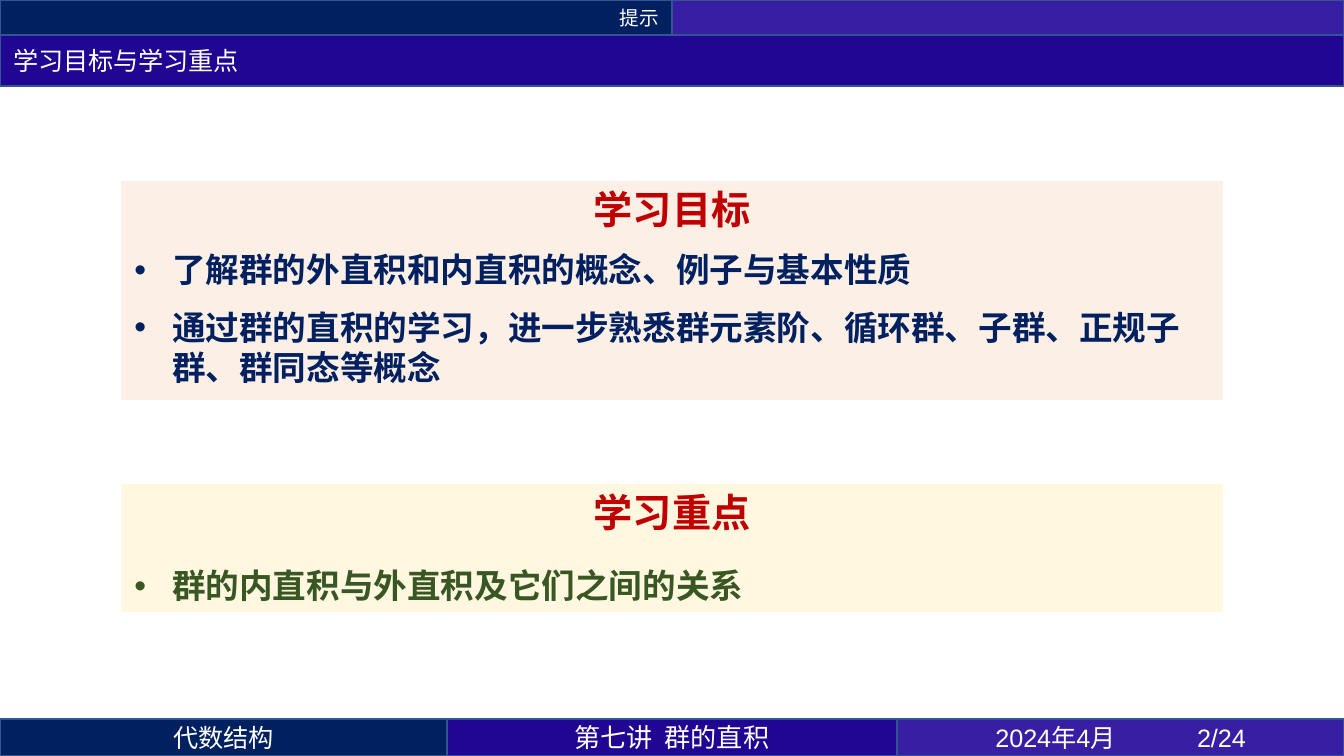
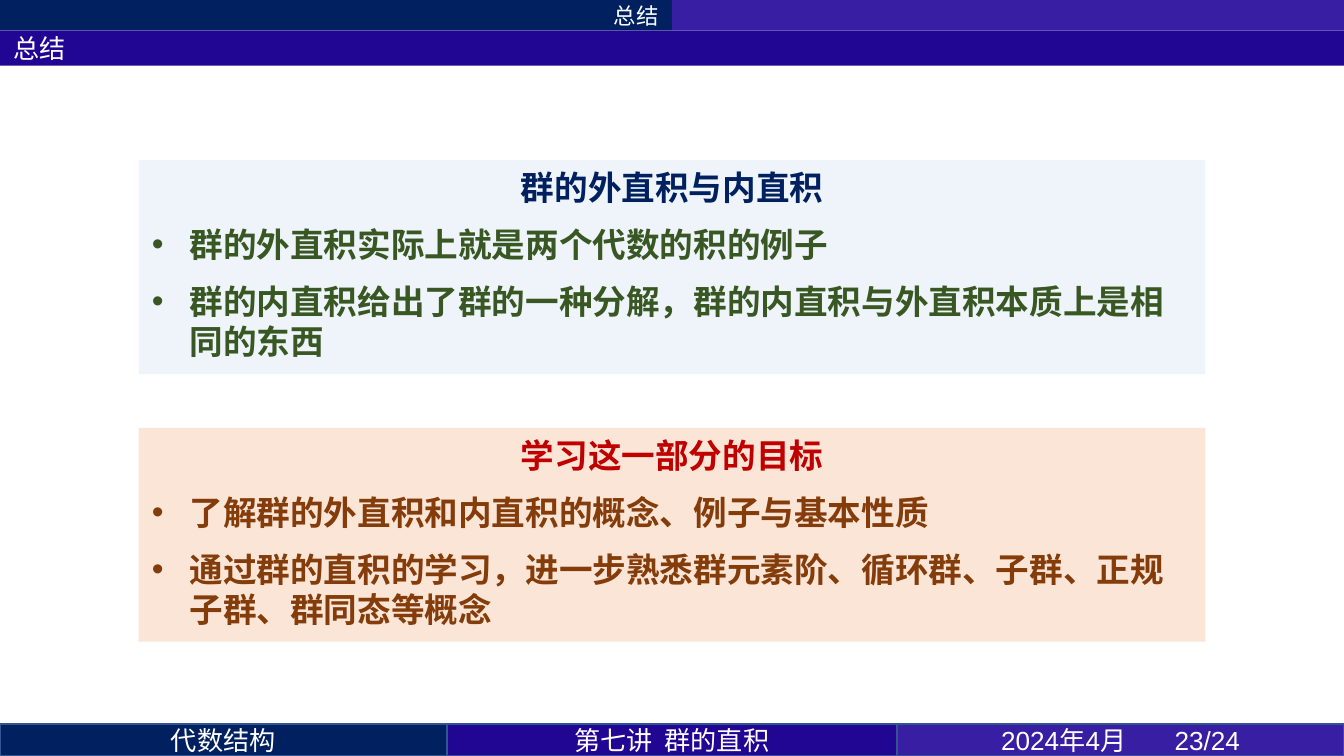
from lxml import etree
from pptx import Presentation
from pptx.dml.color import RGBColor
from pptx.enum import shapes, text
from pptx.oxml import ns
from pptx.util import Pt

W, H = 720, 405
CJK = "Noto Sans CJK SC"
COLORS = {
    "navy": "002060", "indigo": "210694", "violet": "371EA2", "edge": "325491",
    "white": "FFFFFF", "red": "C00000", "green": "385723", "brown": "843C0B",
    "peach": "FBE5D6", "cream": "FFF2CC", "sky": "DEEBF7",
}
LEFT, CENTER, RIGHT = text.PP_ALIGN.LEFT, text.PP_ALIGN.CENTER, text.PP_ALIGN.RIGHT
SIDE_W = 239.3
FOOTER_COLUMNS = [
    (0, SIDE_W, "navy", CJK),
    (SIDE_W, W - 2 * SIDE_W, "indigo", CJK),
    (W - SIDE_W, SIDE_W, "violet", "Arial"),
]
GOALS = [
    "了解群的外直积和内直积的概念、例子与基本性质",
    "通过群的直积的学习，进一步熟悉群元素阶、循环群、子群、正规子群、群同态等概念",
]


def rgb(name):
    return RGBColor.from_string(COLORS[name])


def add_xml(parent, tag, **attrs):
    return etree.SubElement(parent, ns.qn(tag), attrs)


class Deck:
    def __init__(self):
        self.prs = Presentation()
        self.prs.slide_width, self.prs.slide_height = Pt(W), Pt(H)
        self.s = None

    def slide(self):
        self.s = self.prs.slides.add_slide(self.prs.slide_layouts[5])

    def paint(self, sp, fill, edge=None, alpha=None):
        sp.fill.solid()
        sp.fill.fore_color.rgb = rgb(fill)
        if alpha:
            color = sp.fill._xPr.find(".//" + ns.qn("a:srgbClr"))
            add_xml(color, "a:alpha", val=str(alpha * 1000))
        if edge:
            sp.line.color.rgb = rgb(edge)
            sp.line.width = Pt(1)
        else:
            sp.line.fill.background()

    def rect(self, x, y, w, h, fill, edge=None, alpha=None):
        sp = self.s.shapes.add_shape(
            shapes.MSO_SHAPE.RECTANGLE, Pt(x), Pt(y), Pt(w), Pt(h))
        sp.shadow.inherit = False
        self.paint(sp, fill, edge, alpha)
        return sp

    def fill_text(self, p, words, size, font, color, align=LEFT, bold=False, **spacing):
        for name, value in {"alignment": align, **spacing}.items():
            setattr(p, name, value)
        r = p.add_run()
        r.text = words
        for name, value in {"size": Pt(size), "name": font, "bold": bold}.items():
            setattr(r.font, name, value)
        r.font.color.rgb = rgb(color)
        add_xml(r._r.get_or_add_rPr(), "a:ea", typeface=CJK)

    def label(self, sp, words, size, font, align=LEFT, tab=None):
        tf = sp.text_frame
        frame = {"word_wrap": True, "auto_size": text.MSO_AUTO_SIZE.NONE,
                 "vertical_anchor": text.MSO_ANCHOR.MIDDLE,
                 "margin_left": Pt(7.2), "margin_right": Pt(7.2),
                 "margin_top": 0, "margin_bottom": 0}
        for name, value in frame.items():
            setattr(tf, name, value)
        p = tf.paragraphs[0]
        self.fill_text(p, words, size, font, "white", align)
        if tab:
            tabs = add_xml(p._p.get_or_add_pPr(), "a:tabLst")
            add_xml(tabs, "a:tab", pos=str(Pt(tab)), algn="l")

    def header(self, section, size, h, edge=None):
        sp = self.rect(0, 0, W / 2, h, "navy", edge)
        self.label(sp, section, size, CJK, RIGHT)
        self.rect(W / 2, 0, W / 2, h, "violet", edge)

    def title(self, words, size, y, h, edge=None):
        sp = self.s.shapes.title
        place = {"left": 0, "top": Pt(y), "width": Pt(W), "height": Pt(h)}
        for name, value in place.items():
            setattr(sp, name, value)
        self.paint(sp, "indigo", edge)
        self.label(sp, words, size, "Calibri")

    def footer(self, page, sizes, h, tab):
        words = ["代数结构", "第七讲  群的直积", f"2024年4月\t{page}/24"]
        for (x, w, fill, font), line, size in zip(FOOTER_COLUMNS, words, sizes):
            sp = self.rect(x, H - h, w, h, fill, "edge")
            self.label(sp, line, size, font, CENTER, tab if "\t" in line else None)

    def panel(self, y, w, h, fill, heading, bullets, alpha=None,
              size=18, font="Calibri", color="red", bullet_color="green",
              bullet_font=CJK, before=4.5, heading_before=4.5,
              heading_line=None, bullet_line=None):
        sp = self.rect((W - w) / 2, y, w, h, fill, alpha=alpha)
        tf = sp.text_frame
        tf.word_wrap = True
        tf.auto_size = text.MSO_AUTO_SIZE.SHAPE_TO_FIT_TEXT
        tf.vertical_anchor = text.MSO_ANCHOR.TOP
        self.fill_text(tf.paragraphs[0], heading, size, font, color, CENTER, True,
                       space_before=Pt(heading_before), space_after=Pt(4.5),
                       line_spacing=heading_line)
        for words in bullets:
            p = tf.add_paragraph()
            self.fill_text(p, words, 18, bullet_font, bullet_color, bold=True,
                           space_before=Pt(before), space_after=Pt(4.5),
                           line_spacing=bullet_line)
            pPr = p._p.get_or_add_pPr()
            pPr.set("marL", str(Pt(20.25)))
            pPr.set("indent", str(Pt(-20.25)))
            add_xml(pPr, "a:buFont", typeface="Arial")
            add_xml(pPr, "a:buChar", char="•")


def goals_slide(deck):
    deck.slide()
    deck.header("提示", 10.5, 19, "edge")
    deck.title("学习目标与学习重点", 13.5, 19, 27, "edge")
    deck.footer(2, [13.5, 14, 13.5], 19.8, 108)
    style = {"w": 590.2, "alpha": 60, "size": 21, "font": CJK,
             "bullet_font": "Arial", "heading_line": Pt(24)}
    deck.panel(y=97, h=117.2, fill="peach", heading="学习目标", bullets=GOALS,
               bullet_color="navy", **style)
    deck.panel(y=259.4, h=68.4, fill="cream", heading="学习重点",
               bullets=["群的内直积与外直积及它们之间的关系"],
               before=9, heading_before=9, bullet_line=Pt(24), **style)


def summary_slide(deck):
    deck.slide()
    deck.header("总结", 12, 16.2)
    deck.title("总结", 14, 16.2, 18.9)
    deck.footer(23, [14, 14, 14], 16.9, 93)
    style = {"w": 571.6, "h": 114.6}
    deck.panel(y=85.8, fill="sky", alpha=50, heading="群的外直积与内直积",
               color="navy", bullets=[
                   "群的外直积实际上就是两个代数的积的例子",
                   "群的内直积给出了群的一种分解，群的内直积与外直积本质上是相同的东西",
               ], **style)
    deck.panel(y=229.2, fill="peach", heading="学习这一部分的目标",
               bullets=GOALS, bullet_color="brown", heading_before=0, **style)


def main():
    deck = Deck()
    goals_slide(deck)
    summary_slide(deck)
    deck.prs.save("out.pptx")


if __name__ == "__main__":
    main()
